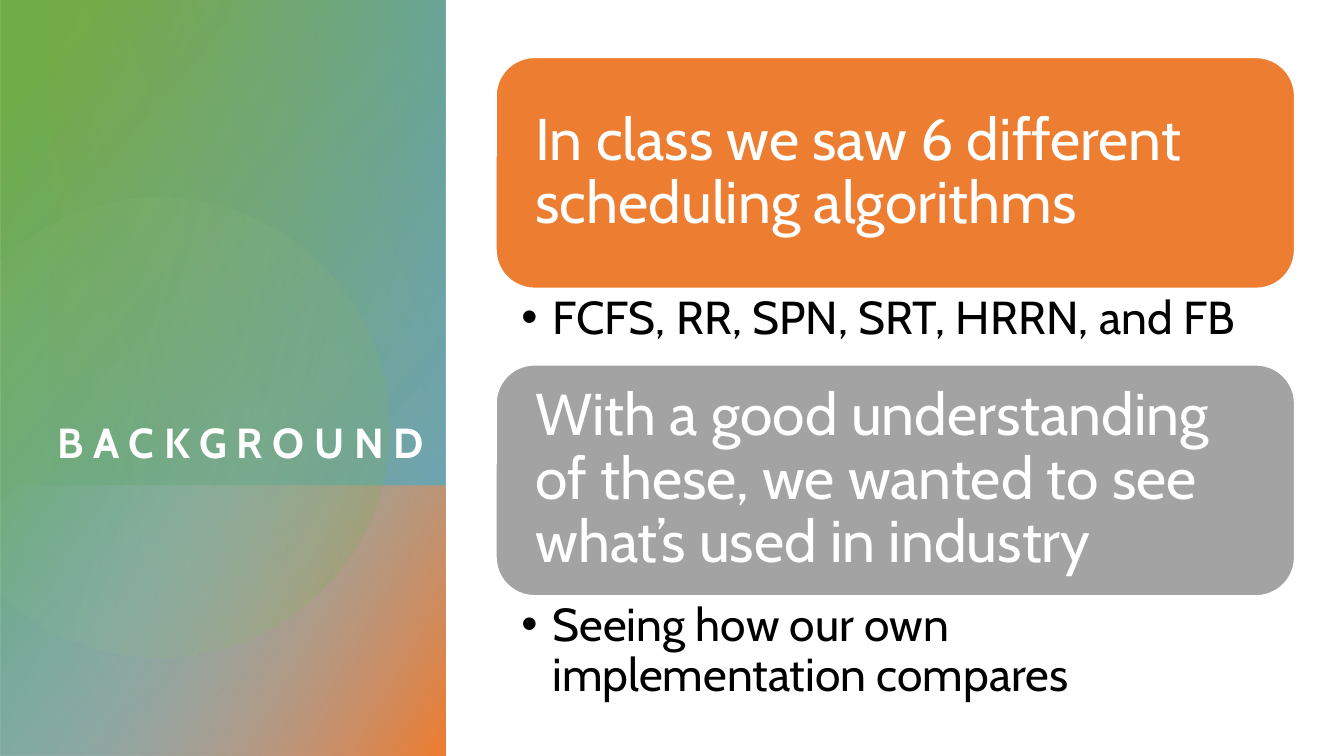
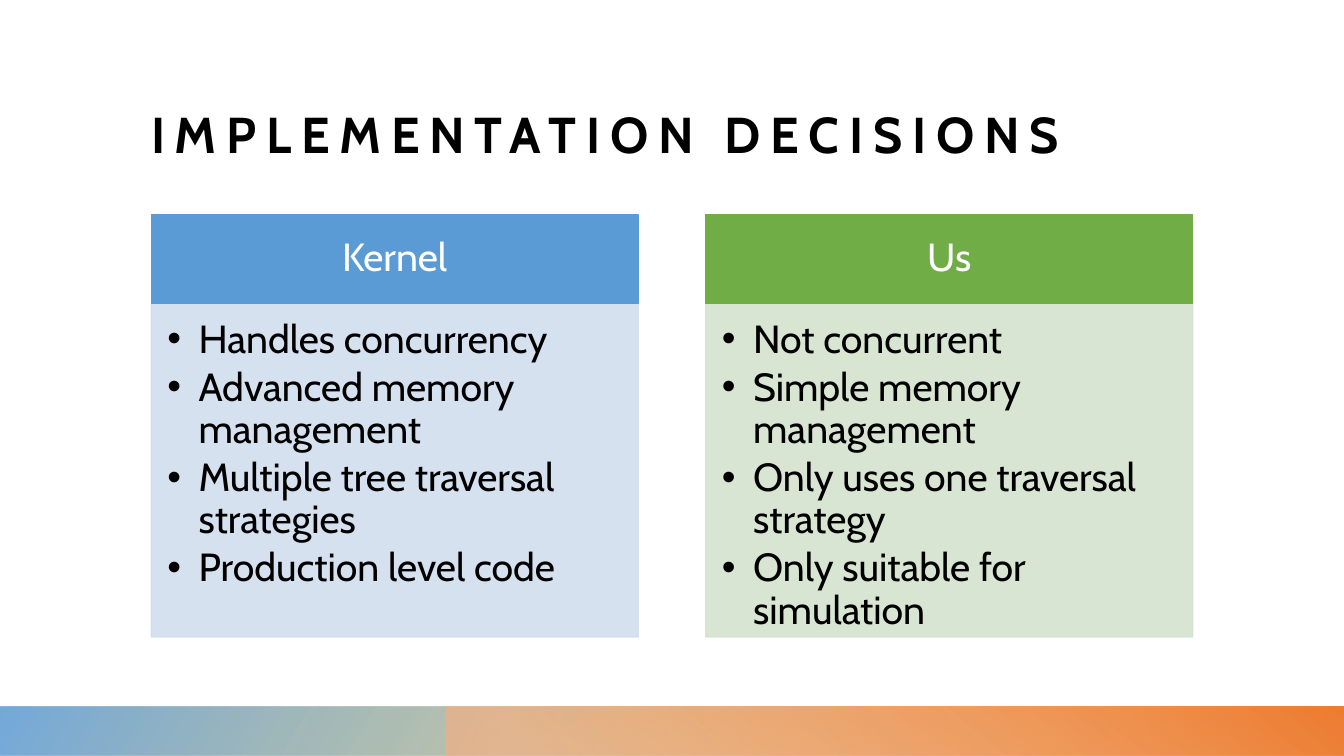
from math import acos, cos, sin

from pptx import Presentation
from pptx.dml.color import RGBColor
from pptx.enum.shapes import MSO_SHAPE
from pptx.enum.text import MSO_ANCHOR, MSO_AUTO_SIZE, PP_ALIGN
from pptx.oxml.ns import qn
from pptx.util import Emu, Pt

RECT, ROUNDED = MSO_SHAPE.RECTANGLE, MSO_SHAPE.ROUNDED_RECTANGLE
LEFT, CENTER, RIGHT = PP_ALIGN.LEFT, PP_ALIGN.CENTER, PP_ALIGN.RIGHT
TOP, MIDDLE, BOTTOM = MSO_ANCHOR.TOP, MSO_ANCHOR.MIDDLE, MSO_ANCHOR.BOTTOM

PX = 9144  # 100 px to the inch
SLIDE_W, SLIDE_H = 1333, 750
FONT = "Cabin"
TWO_CONTENT = 3  # layout with a title and two lists

WHITE = RGBColor(0xFF, 0xFF, 0xFF)
BLACK = RGBColor(0x00, 0x00, 0x00)
ORANGE = RGBColor(0xED, 0x7D, 0x31)
PEACH = RGBColor(0xF4, 0xB1, 0x83)
GOLD = RGBColor(0xCF, 0x9B, 0x00)
GRAY = RGBColor(0xA3, 0xA3, 0xA3)
BLUE = RGBColor(0x5B, 0x9B, 0xD5)
SKY = RGBColor(0x9D, 0xC3, 0xE6)
PALE_BLUE = RGBColor(0xD2, 0xDE, 0xEF)
GREEN = RGBColor(0x70, 0xAD, 0x47)
LEAF = RGBColor(0xA9, 0xD1, 0x8E)
PALE_GREEN = RGBColor(0xD5, 0xE3, 0xCF)

# Statement, its colour, supporting points, height of the points
BACKGROUND = [
    ("In class we saw 6 different scheduling algorithms", ORANGE,
     ["FCFS, RR, SPN, SRT, HRRN, and FB"], 76),
    ("With a good understanding of these, we wanted to see what’s used in industry", GRAY,
     ["Seeing how our own implementation compares"], 102),
]
# Heading, its colour, tint of the list, decisions
DECISIONS = [
    ("Kernel", BLUE, PALE_BLUE,
     ["Handles concurrency", "Advanced memory management",
      "Multiple tree traversal strategies", "Production level code"]),
    ("Us", GREEN, PALE_GREEN,
     ["Not concurrent", "Simple memory management",
      "Only uses one traversal strategy", "Only suitable for simulation"]),
]

# Box, rotation, gradient angle, two stops of (percent, colour, opacity)
SIDE_PANEL = [
    ((-154, 154, 750, 442), 270, 50, [(8, GREEN, 100), (100, BLUE, 89)]),
    ((86, 395, 269, 442), 270, 60, [(0, SKY, 0), (99, ORANGE, 100)]),
]
SIDE_GLOW = [((5, 45, 481, 392), 90, 110, [(0, BLUE, 29), (100, GOLD, 0)])]
FOOTER_BAND = [
    ((0, 701, 1333, 49), 180, 150, [(14, GOLD, 28), (100, BLUE, 85)]),
    ((442, 701, 892, 49), 0, 230, [(9, PEACH, 68), (99, ORANGE, 100)]),
]
CIRCLE_X, CIRCLE_Y, CIRCLE_R = 158, 424, 228
CIRCLE_STOPS = [(36, LEAF, 6), (100, GREEN, 26)]


def place(shape, box):
    shape.left, shape.top, shape.width, shape.height = [Emu(v * PX) for v in box]


def set_opacity(shape, percents):
    """Give the colours of a shape, in file order, their opacity."""
    for color, percent in zip(shape.element.spPr.iter(qn("a:srgbClr")), percents):
        alpha = color.makeelement(qn("a:alpha"), {"val": str(percent * 1000)})
        color.append(alpha)


def paint_gradient(shape, angle, stops):
    """Fill along a clockwise angle, without outline or shadow."""
    shape.shadow.inherit = False
    shape.line.fill.background()
    shape.fill.gradient()
    shape.fill.gradient_angle = 360 - angle
    for stop, (percent, color, _) in zip(shape.fill.gradient_stops, stops):
        stop.position = percent / 100
        stop.color.rgb = color
    set_opacity(shape, [opacity for _, _, opacity in stops])


def paint_solid(shape, fill, line):
    shape.fill.solid()
    shape.fill.fore_color.rgb = fill
    shape.line.color.rgb = line
    shape.line.width = Pt(1)


def add_gradients(slide, parts):
    for box, rotation, angle, stops in parts:
        shape = slide.shapes.add_shape(RECT, 0, 0, 0, 0)
        place(shape, box)
        shape.rotation = rotation
        shape.element.spPr.get_or_add_xfrm().set("flipH", "1")
        paint_gradient(shape, angle, stops)


def add_cut_circle(slide):
    """Draw the circle of the side panel, cut off at the slide's left edge."""
    cut = acos(-CIRCLE_X / CIRCLE_R)
    steps = 120
    angles = [cut * (2 * i / steps - 1) for i in range(steps + 1)]
    points = [(CIRCLE_X + CIRCLE_R * cos(a), CIRCLE_Y + CIRCLE_R * sin(a)) for a in angles]
    outline = slide.shapes.build_freeform(*points[0], scale=PX)
    outline.add_line_segments(points[1:], close=True)
    paint_gradient(outline.convert_to_shape(), 14, CIRCLE_STOPS)


def write(shape, lines, size, color, align, anchor, insets, spacing=0.9):
    frame = shape.text_frame
    frame.text = "\n".join(lines)
    frame.word_wrap = True
    frame.auto_size = MSO_AUTO_SIZE.NONE
    frame.vertical_anchor = anchor
    (frame.margin_left, frame.margin_top,
     frame.margin_right, frame.margin_bottom) = [Emu(v * PX) for v in insets]
    for paragraph in frame.paragraphs:
        paragraph.alignment = align
        paragraph.line_spacing = spacing
        paragraph.space_before = Pt(0)
        for run in paragraph.runs:
            run.font.name = FONT
            run.font.size = Pt(size)
            run.font.color.rgb = color


def write_title(slide, text, box, size, color, align):
    title = slide.shapes.title
    place(title, box)
    write(title, [text], size, color, align, BOTTOM, (0, 0, 0, 0), 1.0)
    font = title.text_frame.paragraphs[0].runs[0].font
    font.bold = True
    font._element.set("spc", "700")
    title.element.getparent().append(title.element)


def write_list(body, points, box, size, insets):
    place(body, box)
    write(body, points, size, BLACK, LEFT, TOP, insets)
    for paragraph in body.text_frame.paragraphs:
        paragraph.space_after = Pt(4)
        properties = paragraph._p.get_or_add_pPr()
        properties.set("marL", str(31 * PX))
        properties.set("indent", str(-31 * PX))


def add_heading(slide, kind, text, box, fill, line, size, align, insets):
    heading = slide.shapes.add_shape(kind, 0, 0, 0, 0)
    place(heading, box)
    heading.shadow.inherit = False
    paint_solid(heading, fill, line)
    write(heading, [text], size, WHITE, align, MIDDLE, insets)


def build_background(slide):
    add_gradients(slide, SIDE_PANEL)
    add_cut_circle(slide)
    add_gradients(slide, SIDE_GLOW)
    write_title(slide, "BACKGROUND", (50, 95, 371, 368), 30, WHITE, RIGHT)
    left, top, width, statement_h = 492, 57, 792, 229
    for index, (statement, color, points, points_h) in enumerate(BACKGROUND, 1):
        add_heading(slide, ROUNDED, statement, (left, top, width, statement_h),
                    color, WHITE, 42, LEFT, (28, 28, 28, 28))
        top += statement_h
        write_list(slide.placeholders[index], points, (left, top, width, points_h),
                   33, (25, 6, 33, 6))
        top += points_h


def build_decisions(slide):
    write_title(slide, "IMPLEMENTATION DECISIONS", (150, 52, 1033, 110), 36, BLACK, LEFT)
    add_gradients(slide, FOOTER_BAND)
    top, width, gap, heading_h, list_h = 213, 483, 67, 88, 331
    for index, (heading, color, tint, points) in enumerate(DECISIONS):
        left = 150 + index * (width + gap)
        add_heading(slide, RECT, heading, (left, top, width, heading_h),
                    color, color, 28, CENTER, (22, 12, 22, 12))
        body = slide.placeholders[index + 1]
        write_list(body, points, (left, top + heading_h, width, list_h),
                   28, (16, 16, 22, 24))
        paint_solid(body, tint, tint)
        set_opacity(body, (90, 90))


def main():
    deck = Presentation()
    deck.slide_width, deck.slide_height = Emu(SLIDE_W * PX), Emu(SLIDE_H * PX)
    for build in (build_background, build_decisions):
        build(deck.slides.add_slide(deck.slide_layouts[TWO_CONTENT]))
    deck.save("out.pptx")


if __name__ == "__main__":
    main()
